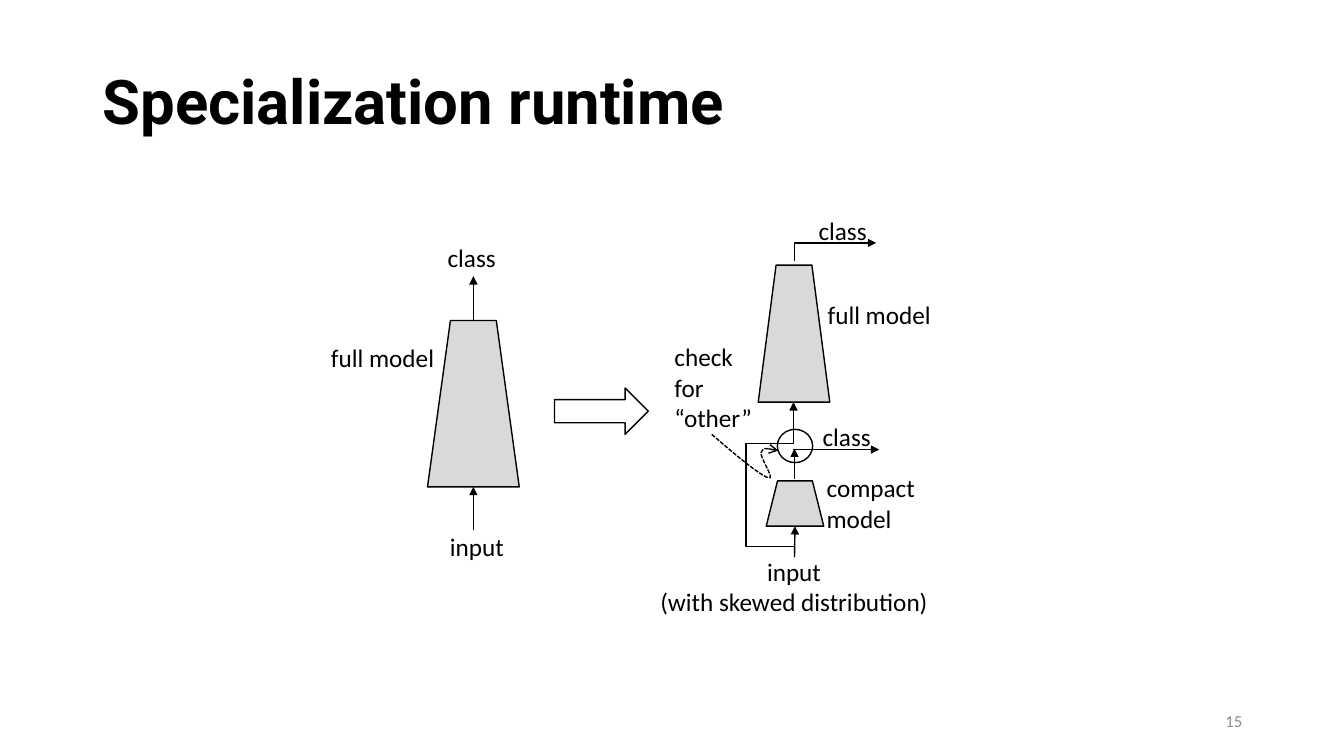
from lxml.etree import SubElement
from pptx import Presentation
from pptx.dml.color import RGBColor
from pptx.enum.dml import MSO_LINE as Dash
from pptx.enum.shapes import MSO_CONNECTOR as Link, MSO_SHAPE as Shape
from pptx.enum.text import MSO_ANCHOR as Anchor, MSO_AUTO_SIZE as Fit, PP_ALIGN as Align
from pptx.oxml.ns import qn
from pptx.util import Inches, Pt

CELL = Inches(0.1)
COLUMNS, ROWS = 133.3, 75
FINE = 10
COLORS = {"ink": "000000", "model": "D9D9D9", "number": "8C8C8C"}
TOP, BOTTOM = 0, 2


def cells(*counts):
    return [round(count * CELL) for count in counts]


def color(name):
    return RGBColor.from_string(COLORS[name])


def add_text(slide, place, text, size=18, font="Calibri", ink="ink", bold=False,
             align=Align.LEFT, anchor=Anchor.TOP, wrap=True, fit=Fit.SHAPE_TO_FIT_TEXT,
             spacing=None):
    box = slide.shapes.add_textbox(*cells(*place))
    frame = box.text_frame
    frame.text = text
    frame.word_wrap = wrap
    frame.auto_size = fit
    frame.vertical_anchor = anchor
    for para in frame.paragraphs:
        para.alignment = align
        para.line_spacing = spacing
        for span in para.runs:
            span.font.name = font
            span.font.size = Pt(size)
            span.font.bold = bold
            span.font.color.rgb = color(ink)


def style_line(shape, width=1, head=None):
    shape.line.color.rgb = color("ink")
    shape.line.width = Pt(width)
    if head:
        SubElement(shape.line._get_or_add_ln(), qn("a:tailEnd"), type=head)


def add_outline(slide, kind, place, fill=None):
    shape = slide.shapes.add_shape(kind, *cells(*place))
    shape.shadow.inherit = False
    if fill:
        shape.fill.solid()
        shape.fill.fore_color.rgb = color(fill)
    else:
        shape.fill.background()
    style_line(shape)
    return shape


def add_model(slide, *place):
    return add_outline(slide, Shape.TRAPEZOID, place, "model")


def add_link(slide, kind, start, end, width=1, head="triangle"):
    link = slide.shapes.add_connector(kind, *cells(*start, *end))
    style_line(link, width, head)
    SubElement(link.element.spPr, qn("a:effectLst"))
    return link


def add_arrow(slide, start, end, width=1, source=None, target=None):
    link = add_link(slide, Link.STRAIGHT, start, end, width)
    if source:
        link.begin_connect(source, TOP)
    if target:
        link.end_connect(target, BOTTOM)


def add_elbow(slide, start, end, turn=0, preset="bentConnector2", bend=None, head="triangle"):
    middle = [(a + b) / 2 for a, b in zip(start, end)]
    across, down = (a - m for a, m in zip(start, middle))
    across, down = {0: (across, down), 90: (down, -across), 270: (-down, across)}[turn]
    link = add_link(slide, Link.ELBOW, (middle[0] + across, middle[1] + down),
                    (middle[0] - across, middle[1] - down), head=head)
    properties = link.element.spPr
    if turn:
        properties.find(qn("a:xfrm")).set("rot", str(turn * 60000))
    geometry = properties.find(qn("a:prstGeom"))
    geometry.set("prst", preset)
    if bend is not None:
        SubElement(geometry.find(qn("a:avLst")), qn("a:gd"),
                   name="adj1", fmla=f"val {round(bend * 100000)}")


def add_curve(slide, start, bends):
    fine = lambda point: tuple(round(value * FINE) for value in point)
    anchors = [fine(point) for point in [start] + [bend[-1] for bend in bends]]
    builder = slide.shapes.build_freeform(*anchors[0], scale=CELL / FINE)
    builder.add_line_segments(anchors[1:], close=False)
    curve = builder.convert_to_shape()
    left, top = (min(values) for values in zip(*anchors))
    steps = list(curve.element.iter(qn("a:lnTo")))
    for step, bend in zip(steps, bends):
        step.clear()
        cubic = SubElement(step.getparent(), qn("a:cubicBezTo"))
        step.getparent().replace(step, cubic)
        for across, down in map(fine, bend):
            SubElement(cubic, qn("a:pt"), x=str(across - left), y=str(down - top))
    curve.shadow.inherit = False
    curve.fill.background()
    curve.line.dash_style = Dash.SQUARE_DOT
    style_line(curve, head="arrow")


def draw_full_runtime(slide):
    axis = 46.95
    model = add_model(slide, 42.4, 31.8, 9.1, 16.5)
    add_arrow(slide, (axis, 31.8), (axis, 27.4), 0.5, source=model)
    add_arrow(slide, (axis, 52.6), (axis, 48.3), 0.5, target=model)
    add_text(slide, (43.4, 23.5, 6.8, 4), "class", wrap=False)
    add_text(slide, (43.6, 52.2, 7.4, 4), "input", align=Align.CENTER, wrap=False)
    add_text(slide, (31.8, 33.5, 12.3, 4), "full model", align=Align.CENTER)


def draw_specialized_runtime(slide):
    axis, bypass = 78.8, 74
    add_model(slide, 75.2, 26.3, 7.1, 13.6)
    add_elbow(slide, (axis, 53.9), (bypass, 44), 270, "bentConnector3", -0.03, None)
    add_elbow(slide, (bypass, 44), (78.7, 39.9))
    add_elbow(slide, (axis, 25.9), (86.9, 24.1), 90)
    compact = add_model(slide, 76, 47.7, 5.7, 4.5)
    add_arrow(slide, (axis, 55.3), (axis, 52.2), target=compact)
    add_arrow(slide, (axis, 47.5), (axis, 44.5))
    add_arrow(slide, (78.7, 44.6), (87.2, 44.6))
    add_text(slide, (64.3, 54.7, 28.9, 7.1), "input\n(with skewed distribution)",
             align=Align.CENTER, wrap=False)
    for place, label in [
        ((80.6, 41.3, 7.7, 4), "class"),
        ((81, 46.4, 13.1, 7.1), "compact model"),
        ((80.2, 20.9, 7.7, 4), "class"),
        ((81.1, 29.2, 13.1, 4), "full model"),
        ((65.9, 33.4, 10.1, 10.1), "check for “other”"),
    ]:
        add_text(slide, place, label)
    add_outline(slide, Shape.OVAL, (77.1, 42.6, 3.5, 3.3))
    add_curve(slide, (70.6, 43.1), [
        [(72.9, 45.1), (75.3, 47.1), (76.2, 47.4)],
        [(77, 47.7), (75.3, 45.3), (75.5, 44.9)],
        [(75.7, 44.4), (76.4, 44.5), (77.2, 44.7)],
    ])


def main():
    deck = Presentation()
    deck.slide_width, deck.slide_height = cells(COLUMNS, ROWS)
    slide = deck.slides.add_slide(deck.slide_layouts[6])
    add_text(slide, (9.2, 3.8, 115, 13.1), "Specialization runtime", 44, "Roboto",
             bold=True, anchor=Anchor.MIDDLE, fit=Fit.NONE, spacing=0.9)
    add_text(slide, (94.2, 69.5, 30, 4), "15", 12, ink="number",
             align=Align.RIGHT, anchor=Anchor.MIDDLE, fit=Fit.NONE)
    draw_full_runtime(slide)
    add_outline(slide, Shape.RIGHT_ARROW, (55, 38.5, 9.3, 4.6))
    draw_specialized_runtime(slide)
    deck.save("out.pptx")


if __name__ == "__main__":
    main()
